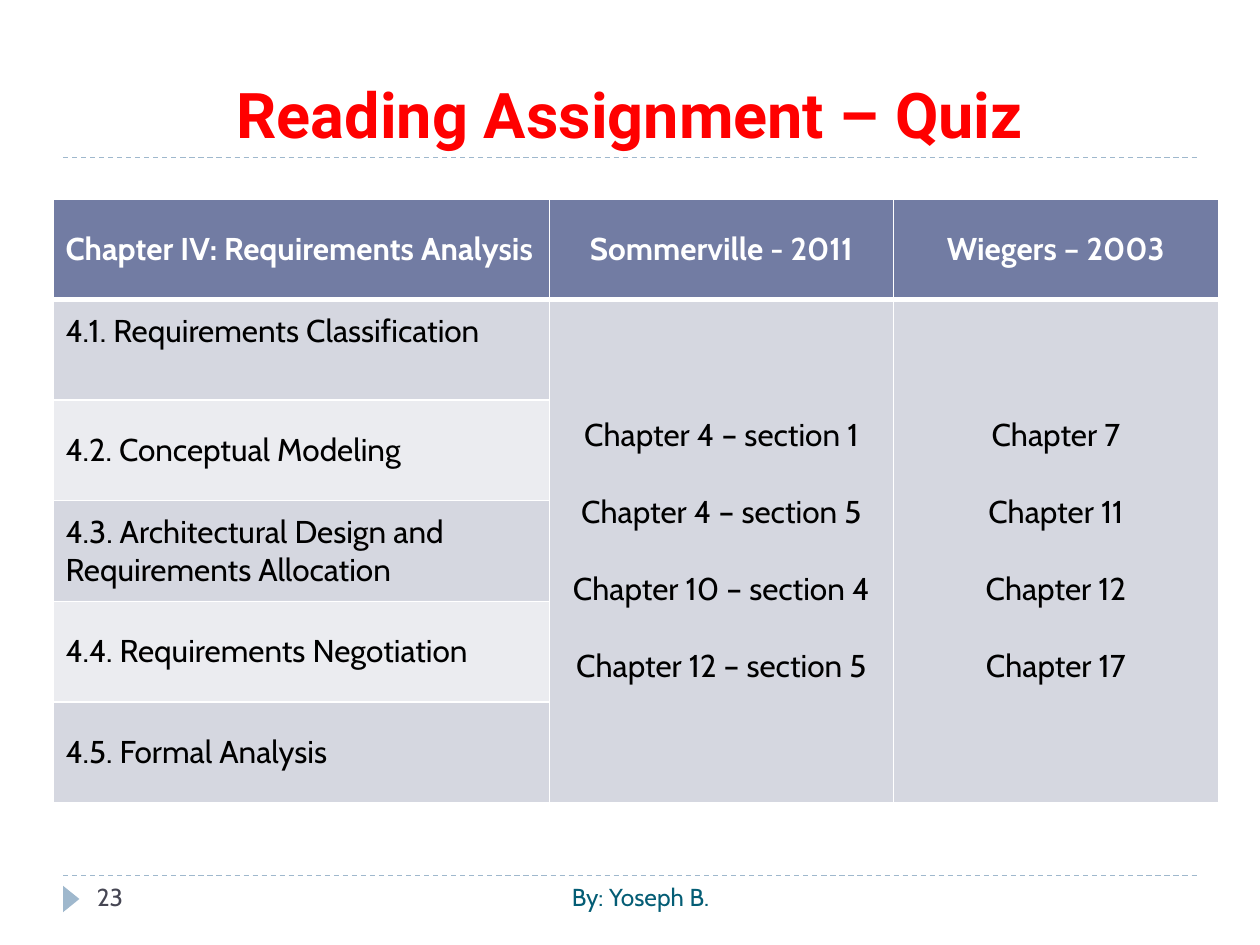
from lxml import etree
from pptx import Presentation
from pptx.dml.color import RGBColor
from pptx.enum.dml import MSO_LINE
from pptx.enum.shapes import MSO_CONNECTOR, MSO_SHAPE
from pptx.enum.text import MSO_ANCHOR, PP_ALIGN
from pptx.oxml.ns import qn
from pptx.util import Inches, Pt

LEFT, CENTER = PP_ALIGN.LEFT, PP_ALIGN.CENTER
TOP, MIDDLE, BOTTOM = MSO_ANCHOR.TOP, MSO_ANCHOR.MIDDLE, MSO_ANCHOR.BOTTOM
STRAIGHT, TRIANGLE, DASH = MSO_CONNECTOR.STRAIGHT, MSO_SHAPE.ISOSCELES_TRIANGLE, MSO_LINE.DASH

WHITE = RGBColor(0xFF, 0xFF, 0xFF)
BLACK = RGBColor(0, 0, 0)
RED = RGBColor(0xFF, 0, 0)
PALE_BLUE = RGBColor(0x9F, 0xB8, 0xCD)
SLATE = RGBColor(0x46, 0x46, 0x53)
TEAL = RGBColor(0x04, 0x5D, 0x75)
HEADER_FILL = RGBColor(0x72, 0x7C, 0xA3)
BAND_FILLS = (RGBColor(0xD5, 0xD7, 0xE0), RGBColor(0xEB, 0xEC, 0xF0))

TITLE_FONT = {"name": "Roboto", "size": Pt(36), "bold": True}
HEADER_FONT = {"name": "Cabin", "size": Pt(18), "bold": True}
BODY_FONT = {"name": "Cabin", "size": Pt(18), "bold": False}
FOOTER_FONT = {"name": "Cabin", "size": Pt(14), "bold": False}

COLUMN_WIDTHS = (3.94, 2.73, 2.58)
HEADERS = ("Chapter IV: Requirements Analysis", "Sommerville - 2011", "Wiegers – 2003")
TOPICS = (
    "4.1. Requirements Classification",
    "4.2. Conceptual Modeling",
    "4.3. Architectural Design and Requirements Allocation",
    "4.4. Requirements Negotiation",
    "4.5. Formal Analysis",
)
READINGS = (
    ("Chapter 4 – section 1", "Chapter 4 – section 5",
     "Chapter 10 – section 4", "Chapter 12 – section 5"),
    ("Chapter 7", "Chapter 11", "Chapter 12", "Chapter 17"),
)


def write(frame, lines, font, color, align=LEFT, gap=Pt(0)):
    """Write one paragraph per line, with the gap between paragraphs."""
    for index, line in enumerate(lines):
        paragraph = frame.add_paragraph() if index else frame.paragraphs[0]
        paragraph.alignment = align
        if index:
            paragraph.space_before = gap
        run = paragraph.add_run()
        run.text = line
        for key, value in font.items():
            setattr(run.font, key, value)
        run.font.color.rgb = color


def add_label(slide, box, text, font, color, align=LEFT, anchor=TOP):
    frame = slide.shapes.add_textbox(*map(Inches, box)).text_frame
    frame.word_wrap = True
    frame.vertical_anchor = anchor
    write(frame, [text], font, color, align)


def add_rule(slide, left, top, width):
    rule = slide.shapes.add_connector(
        STRAIGHT, Inches(left), Inches(top), Inches(left + width), Inches(top))
    rule.line.color.rgb = PALE_BLUE
    rule.line.width = Pt(0.75)
    rule.line.dash_style = DASH
    etree.SubElement(rule._element.spPr, qn("a:effectLst"))


def add_title(slide, left, top, width, height):
    add_rule(slide, left, top + height, width)
    add_label(slide, (left, top, width, height), "Reading Assignment – Quiz",
              TITLE_FONT, RED, CENTER, BOTTOM)


def add_footer(slide, left, top, width, height):
    add_rule(slide, left, top, width)
    marker = slide.shapes.add_shape(
        TRIANGLE, Inches(left - 0.04), Inches(top + 0.12), Inches(0.21), Inches(0.13))
    marker.rotation = 90
    marker.shadow.inherit = False
    marker.fill.solid()
    marker.fill.fore_color.rgb = PALE_BLUE
    marker.line.fill.background()
    add_label(slide, (left + 0.17, top, 2.17, height), "23", FOOTER_FONT, SLATE)
    add_label(slide, (left + 2.67, top, 3.83, height), "By: Yoseph B.",
              FOOTER_FONT, TEAL, CENTER)


def style_cell(cell, fill, top=1, bottom=1):
    """Fill a cell and give it white borders; top and bottom are in points."""
    properties = cell._tc.get_or_add_tcPr()
    for side, points in (("L", 1), ("R", 1), ("T", top), ("B", bottom)):
        border = etree.SubElement(properties, qn(f"a:ln{side}"), w=str(Pt(points)))
        solid = etree.SubElement(border, qn("a:solidFill"))
        etree.SubElement(solid, qn("a:srgbClr"), val=str(WHITE))
    cell.fill.solid()
    cell.fill.fore_color.rgb = fill
    cell.vertical_anchor = MIDDLE


def add_reading_table(slide, left, top, width, height):
    row_count = len(TOPICS) + 1
    table = slide.shapes.add_table(
        row_count, len(HEADERS), *map(Inches, (left, top, width, height))).table
    for column, column_width in zip(table.columns, COLUMN_WIDTHS):
        column.width = Inches(column_width)

    for index, header in enumerate(HEADERS):
        cell = table.cell(0, index)
        style_cell(cell, HEADER_FILL, bottom=3)
        write(cell.text_frame, [header], HEADER_FONT, WHITE, CENTER if index else LEFT)

    for row, topic in enumerate(TOPICS, start=1):
        for column in range(len(HEADERS)):
            fill = BAND_FILLS[0 if column else (row - 1) % 2]
            style_cell(table.cell(row, column), fill, top=3 if row == 1 else 1)
        write(table.cell(row, 0).text_frame, [topic], BODY_FONT, BLACK)

    first_topic = table.cell(1, 0)
    first_topic.vertical_anchor = TOP
    first_topic.margin_top = Inches(0.1)

    for column, chapters in enumerate(READINGS, start=1):
        cell = table.cell(1, column)
        cell.merge(table.cell(row_count - 1, column))
        write(cell.text_frame, chapters, BODY_FONT, BLACK, CENTER, gap=Pt(22))


def main():
    deck = Presentation()
    deck.slide_width, deck.slide_height = Inches(10), Inches(7.5)
    slide = deck.slides.add_slide(deck.slide_layouts[6])
    add_title(slide, 0.5, 0.17, 9, 1.08)
    add_reading_table(slide, 0.42, 1.58, sum(COLUMN_WIDTHS), 4.79)
    add_footer(slide, 0.5, 6.95, 9, 0.4)
    deck.save("out.pptx")


if __name__ == "__main__":
    main()
